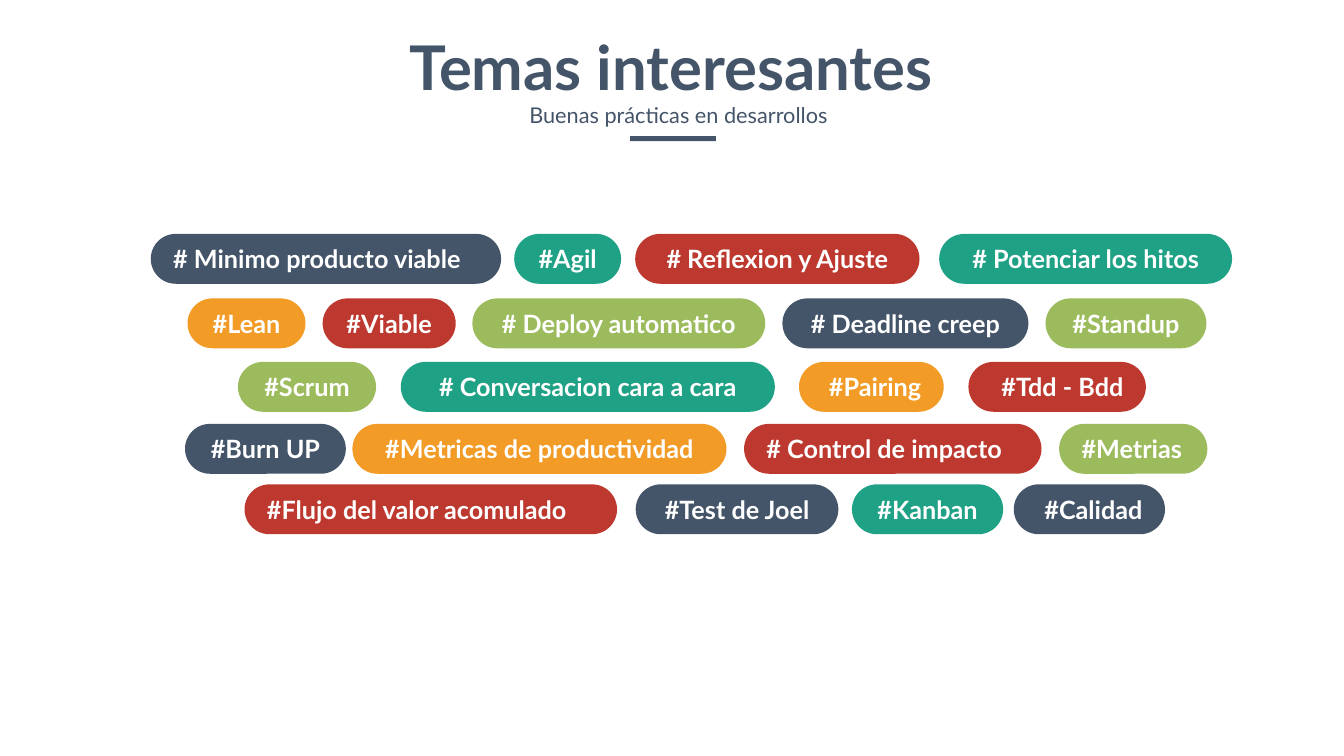
"""Build the slide of interesting topics as rows of coloured hashtag pills."""
from pptx import Presentation
from pptx.dml.color import RGBColor
from pptx.enum.shapes import MSO_SHAPE
from pptx.enum.text import MSO_ANCHOR, MSO_AUTO_SIZE, PP_ALIGN
from pptx.util import Inches, Pt

FONT = "Lato"
COLORS = {
    "navy": "445469",
    "teal": "1EA185",
    "red": "BD392F",
    "orange": "F29B26",
    "green": "9BBB5C",
    "white": "FFFFFF",
}
LEFT, CENTER, RIGHT = PP_ALIGN.LEFT, PP_ALIGN.CENTER, PP_ALIGN.RIGHT
TITLE = "Temas interesantes"
SUBTITLE = "Buenas prácticas en desarrollos"
PILL_HEIGHT = 0.99
TOPIC_ROWS = [
    (4.64, [
        ("# Minimo producto viable", 2.99, 6.95, "navy", LEFT),
        ("#Agil", 10.2, 2.12, "teal", CENTER),
        ("# Reflexion y Ajuste", 12.6, 5.64, "red", CENTER),
        ("# Potenciar los hitos", 18.63, 5.81, "teal", CENTER),
    ]),
    (5.92, [
        ("#Lean", 3.72, 2.34, "orange", CENTER),
        ("#Viable", 6.4, 2.64, "red", CENTER),
        ("# Deploy automatico", 9.37, 5.81, "green", CENTER),
        ("# Deadline creep", 15.52, 4.88, "navy", CENTER),
        ("#Standup", 20.74, 3.19, "green", CENTER),
    ]),
    (7.18, [
        ("#Scrum", 4.72, 2.74, "green", CENTER),
        ("# Conversacion cara a cara", 7.95, 7.42, "teal", CENTER),
        ("#Pairing", 15.85, 2.87, "orange", RIGHT),
        ("#Tdd - Bdd", 19.21, 3.52, "red", RIGHT),
    ]),
    (8.41, [
        ("#Burn UP", 3.67, 3.19, "navy", CENTER),
        ("#Metricas de productividad", 6.99, 7.42, "orange", CENTER),
        ("# Control de impacto", 14.76, 5.9, "red", LEFT),
        ("#Metrias", 21.01, 2.94, "green", LEFT),
    ]),
    (9.61, [
        ("#Flujo del valor acomulado", 4.85, 7.39, "red", LEFT),
        ("#Test de Joel", 12.61, 4.02, "navy", CENTER),
        ("#Kanban", 16.9, 3, "teal", CENTER),
        ("#Calidad", 20.11, 3, "navy", RIGHT),
    ]),
]


def rgb(color):
    return RGBColor.from_string(COLORS[color])


def write(shape, text, size, color, bold, insets, align=CENTER, anchor=MSO_ANCHOR.TOP):
    frame = shape.text_frame
    frame.word_wrap = False
    frame.auto_size = MSO_AUTO_SIZE.SHAPE_TO_FIT_TEXT
    frame.vertical_anchor = anchor
    frame.margin_left = frame.margin_right = Inches(insets[0])
    frame.margin_top = frame.margin_bottom = Inches(insets[1])
    paragraph = frame.paragraphs[0]
    paragraph.alignment = align
    run = paragraph.add_run()
    run.text = text
    run.font.name = FONT
    run.font.size = Pt(size)
    run.font.bold = bold
    run.font.color.rgb = rgb(color)
    return paragraph


def add_block(slide, preset, left, top, width, height, color):
    block = slide.shapes.add_shape(
        preset, Inches(left), Inches(top), Inches(width), Inches(height))
    block.shadow.inherit = False
    block.fill.solid()
    block.fill.fore_color.rgb = rgb(color)
    block.line.fill.background()
    return block


def add_heading(slide):
    title = slide.shapes.title
    title.left, title.top = Inches(7.49), Inches(0.53)
    title.width, title.height = Inches(11.64), Inches(1.58)
    write(title, TITLE, 88, "navy", True, (0.1, 0.05))
    subtitle = slide.shapes.add_textbox(
        Inches(10.12), Inches(1.79), Inches(6.67), Inches(0.81))
    paragraph = write(subtitle, SUBTITLE, 31, "navy", False, (0.24, 0.12))
    paragraph.line_spacing = 1.2
    add_block(slide, MSO_SHAPE.RECTANGLE, 12.5, 2.7, 1.7, 0.1, "navy")


def add_topics(slide):
    for top, topics in TOPIC_ROWS:
        for topic, left, width, color, align in topics:
            pill = add_block(slide, MSO_SHAPE.ROUNDED_RECTANGLE,
                             left, top, width, PILL_HEIGHT, color)
            pill.adjustments[0] = 0.5
            write(pill, topic, 36, "white", True, (0.3, 0.05), align, MSO_ANCHOR.MIDDLE)


def main():
    deck = Presentation()
    deck.slide_width, deck.slide_height = Inches(26.66), Inches(15)
    slide = deck.slides.add_slide(deck.slide_layouts[5])
    add_heading(slide)
    add_topics(slide)
    deck.save("out.pptx")


if __name__ == "__main__":
    main()
